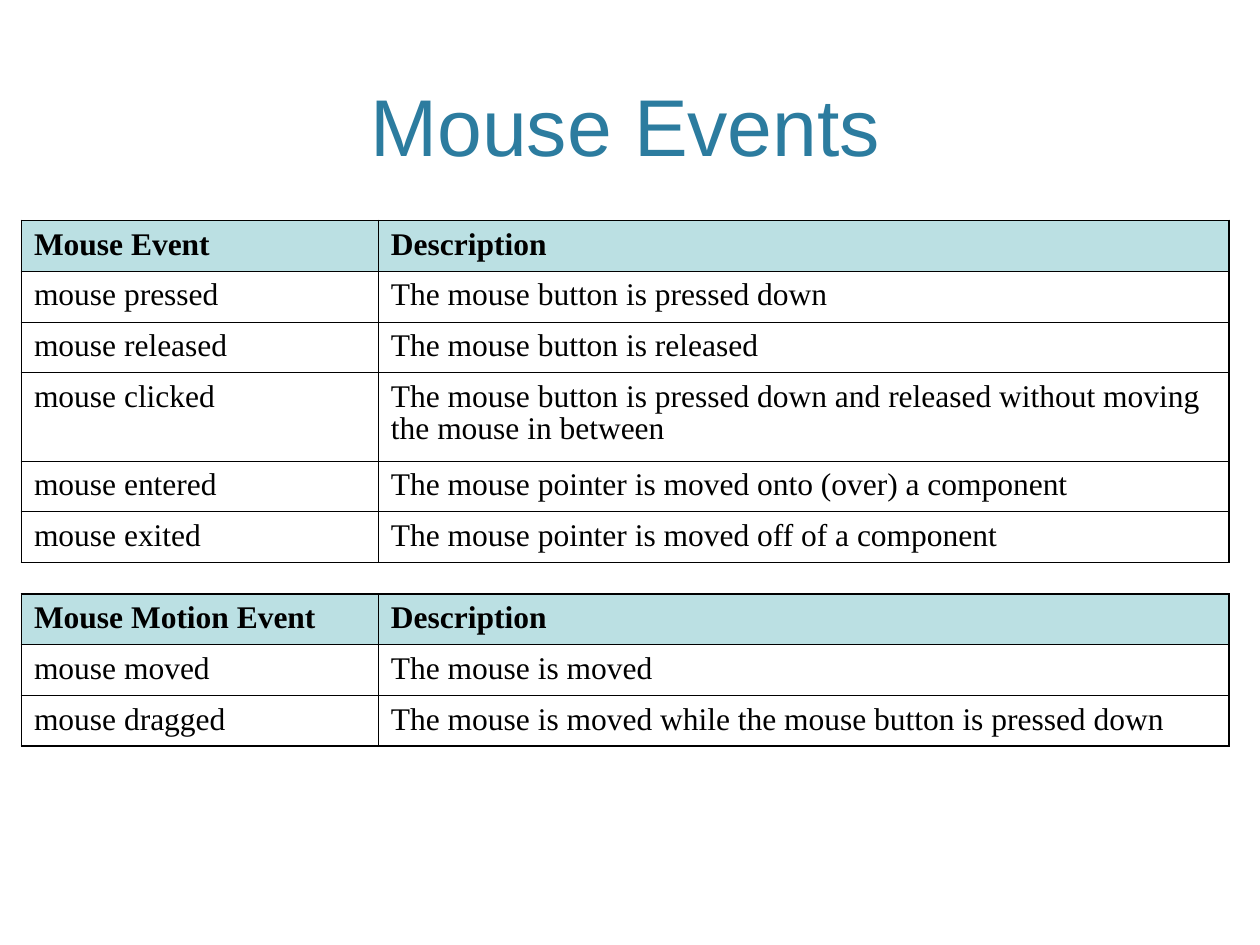
from lxml import etree
from pptx import Presentation
from pptx.dml.color import RGBColor
from pptx.enum.text import MSO_ANCHOR, PP_ALIGN
from pptx.oxml.ns import qn
from pptx.util import Pt

TITLE = "Mouse Events"
BLOCKS = [
    [
        ("Mouse Event", "Description"),
        ("mouse pressed", "The mouse button is pressed down"),
        ("mouse released", "The mouse button is released"),
        ("mouse clicked", "The mouse button is pressed down and released "
                          "without moving the mouse in between"),
        ("mouse entered", "The mouse pointer is moved onto (over) a component"),
        ("mouse exited", "The mouse pointer is moved off of a component"),
    ],
    [
        ("Mouse Motion Event", "Description"),
        ("mouse moved", "The mouse is moved"),
        ("mouse dragged", "The mouse is moved while the mouse button is pressed down"),
    ],
]
THEME = {
    "title": "2C7C9F", "ink": "000000", "head": "BBE0E3",
    "sans": "Arial", "serif": "Times New Roman",
    "big": 46, "body": 18, "thin": 0.45, "thick": 1.08,
}
LEFT, TOP = 12.25, 126
COLS = [204, 486]
ROW, TALL, GAP = 29, 50.5, 18
LONG = 60  # a description longer than this takes two lines
NO_STYLE = "{2D5ABB26-0587-4C30-8999-92F81FD0307C}"


def write(frame, words, size, font, color, bold=False, align=None, line=None, before=None):
    para = frame.paragraphs[0]
    para.alignment, para.line_spacing = align, line
    if before is not None:
        para.space_before = Pt(before)
    run = para.add_run()
    run.text = words
    run.font.size, run.font.name, run.font.bold = Pt(size), font, bold
    run.font.color.rgb = RGBColor.from_string(color)


def border(cell, **widths):
    """Draw the given sides (L, R, T, B); the sides left out get no line."""
    props = cell._tc.get_or_add_tcPr()
    for side in "LRTB":
        line = etree.SubElement(props, qn(f"a:ln{side}"))
        if side in widths:
            line.set("w", str(int(Pt(widths[side]))))
            fill = etree.SubElement(line, qn("a:solidFill"))
            etree.SubElement(fill, qn("a:srgbClr"), val=THEME["ink"])
        else:
            etree.SubElement(line, qn("a:noFill"))


def inset(cell, left, top, right, bottom):
    cell.margin_left, cell.margin_top = Pt(left), Pt(top)
    cell.margin_right, cell.margin_bottom = Pt(right), Pt(bottom)


def fill_row(table, at, words, first, last):
    thin, thick = THEME["thin"], THEME["thick"]
    table.rows[at].height = Pt(TALL if len(words[1]) > LONG else ROW)
    for col, entry in enumerate(words):
        cell = table.cell(at, col)
        inset(cell, 7.2, 5, 7.2, 3.6)
        border(cell, L=thin if col else thick, R=thick if col else thin,
               T=thick if first else thin, B=thick if last else thin)
        if first:
            cell.fill.solid()
            cell.fill.fore_color.rgb = RGBColor.from_string(THEME["head"])
        else:
            cell.fill.background()
        write(cell.text_frame, entry, THEME["body"], THEME["serif"], THEME["ink"],
              bold=first, line=0.93, before=11.2)


def fill_gap(table, at):
    table.rows[at].height = Pt(GAP)
    table.cell(at, 0).merge(table.cell(at, 1))
    for col in range(len(COLS)):
        cell = table.cell(at, col)
        inset(cell, 0, 0, 0, 0)
        border(cell, T=THEME["thick"], B=THEME["thick"])
        cell.fill.background()
        end = cell.text_frame.paragraphs[0]._p.get_or_add_endParaRPr()
        end.set("sz", "800")


def main():
    deck = Presentation()
    deck.slide_width, deck.slide_height = Pt(720), Pt(540)
    slide = deck.slides.add_slide(deck.slide_layouts[5])

    title = slide.shapes.title
    title.left, title.top, title.width, title.height = Pt(12.25), Pt(24), Pt(690), Pt(78.5)
    title.text_frame.vertical_anchor = MSO_ANCHOR.BOTTOM
    write(title.text_frame, TITLE, THEME["big"], THEME["sans"], THEME["title"],
          align=PP_ALIGN.CENTER)

    count = sum(map(len, BLOCKS)) + len(BLOCKS) - 1
    table = slide.shapes.add_table(count, len(COLS), Pt(LEFT), Pt(TOP),
                                   Pt(sum(COLS)), Pt(ROW * count)).table
    table.horz_banding = False
    table._tbl.tblPr.find(qn("a:tableStyleId")).text = NO_STYLE
    for col, width in zip(table.columns, COLS):
        col.width = Pt(width)

    at = 0
    for block in BLOCKS:
        if at:
            fill_gap(table, at)
            at += 1
        for pos, words in enumerate(block):
            fill_row(table, at, words, pos == 0, pos == len(block) - 1)
            at += 1

    deck.save("out.pptx")


if __name__ == "__main__":
    main()
